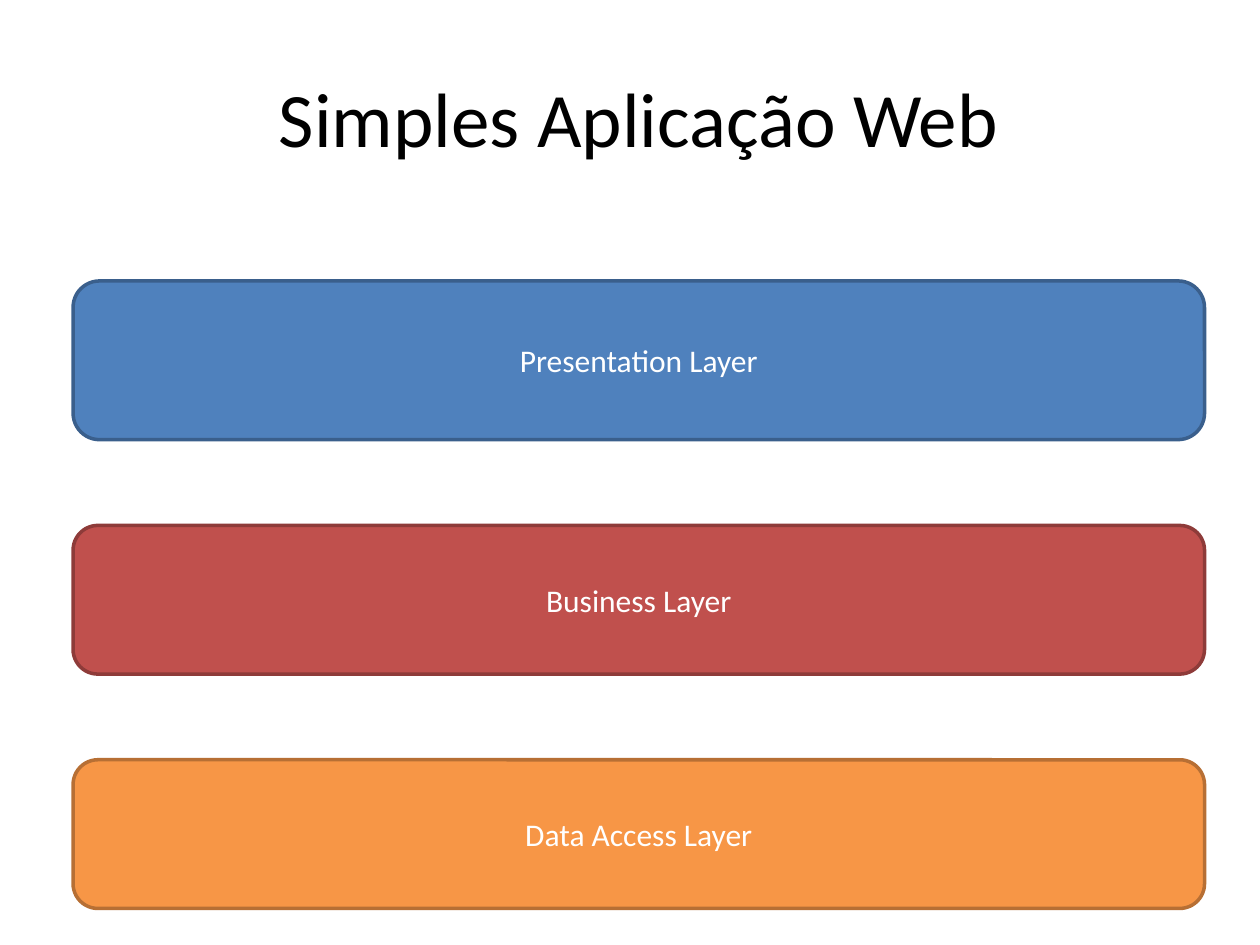
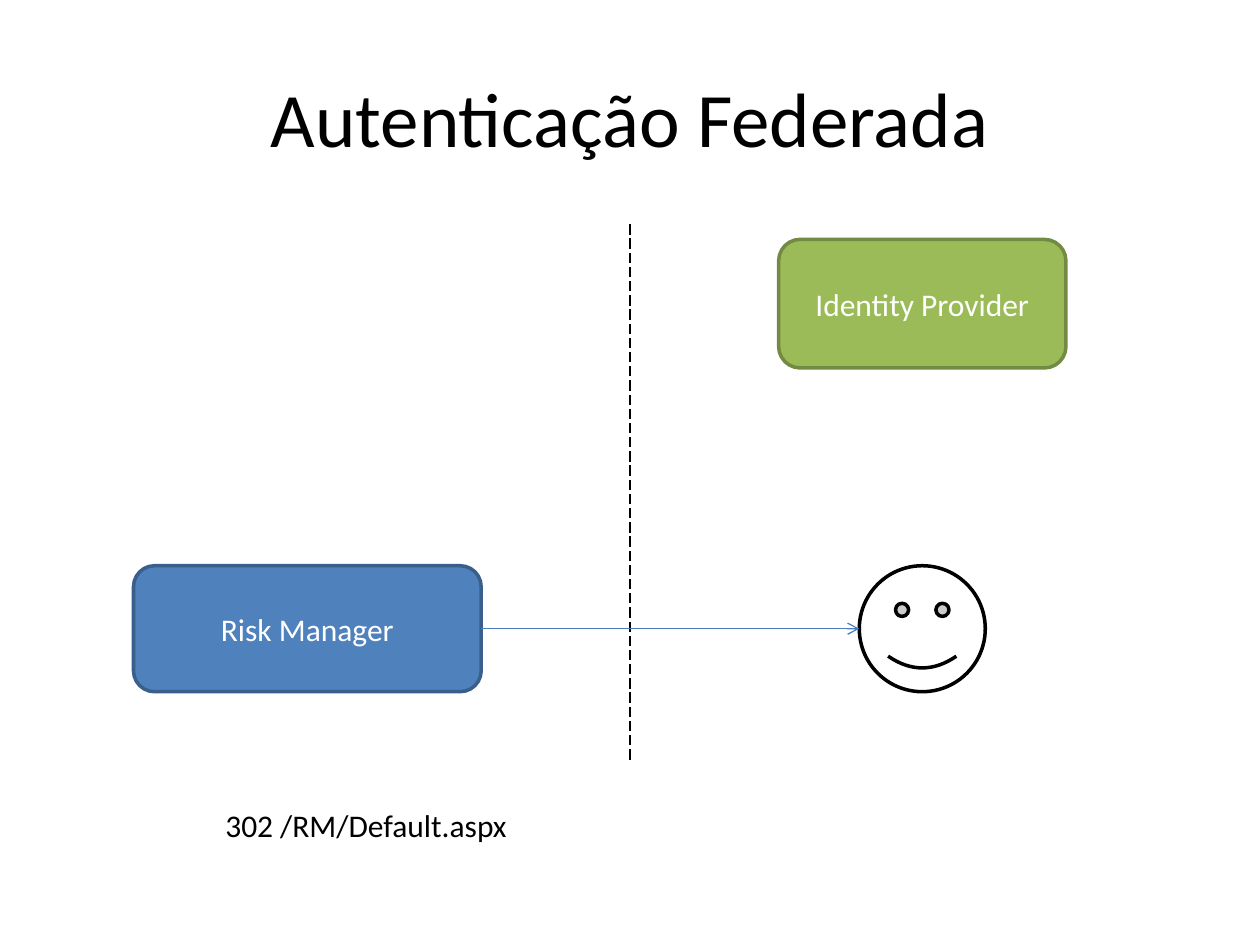
import pptx
import pptx.dml.color
import pptx.enum.dml
import pptx.enum.shapes
import pptx.enum.text
import pptx.oxml.ns
import pptx.util
from lxml import etree

Inches = pptx.util.Inches
Pt = pptx.util.Pt
RGBColor = pptx.dml.color.RGBColor
MSO_SHAPE = pptx.enum.shapes.MSO_SHAPE
PP_ALIGN = pptx.enum.text.PP_ALIGN
MSO_ANCHOR = pptx.enum.text.MSO_ANCHOR
qn = pptx.oxml.ns.qn

BLACK = RGBColor(0x00, 0x00, 0x00)
WHITE = RGBColor(0xFF, 0xFF, 0xFF)
ARROW_BLUE = RGBColor(0x4B, 0x7E, 0xBC)
BLUE = (RGBColor(0x4F, 0x81, 0xBD), RGBColor(0x3A, 0x5F, 0x8C))
RED = (RGBColor(0xC0, 0x50, 0x4D), RGBColor(0x8E, 0x3B, 0x39))
ORANGE = (RGBColor(0xF7, 0x96, 0x46), RGBColor(0xB7, 0x6F, 0x34))
GREEN = (RGBColor(0x9B, 0xBB, 0x59), RGBColor(0x73, 0x8A, 0x42))
OUTLINED = (WHITE, BLACK)

TITLE_FONT = {"name": "Calibri", "size": Pt(44)}
BODY_FONT = {"name": "Calibri", "size": Pt(18)}

LAYERS_TITLE = "Simples Aplicação Web"
LAYERS = [
    ("Presentation Layer", 1.26, BLUE),
    ("Business Layer", 1.18, RED),
    ("Data Access Layer", 1.18, ORANGE),
]
LAYER_LEFT, LAYER_TOP, LAYER_WIDTH, LAYER_GAP = 0.58, 2.23, 8.98, 0.68

FEDERATION_TITLE = "Autenticação Federada"
RISK_MANAGER = ("Risk Manager", (1.06, 4.49, 2.76, 1), BLUE)
IDENTITY_PROVIDER = ("Identity Provider", (6.18, 1.9, 2.28, 1.02), GREEN)
USER_FACE = (6.82, 4.49, 1, 1)
BOUNDARY = ((5, 1.78), (5, 6.03))
REDIRECT = "302 /RM/Default.aspx"
REDIRECT_AREA = (1.69, 6.35, 6.13, 0.4)


def write(frame, text, font, color, align, anchor):
    frame.word_wrap = True
    frame.vertical_anchor = anchor
    paragraph = frame.paragraphs[0]
    paragraph.alignment = align
    run = paragraph.add_run()
    run.text = text
    for attribute, value in font.items():
        setattr(run.font, attribute, value)
    run.font.color.rgb = color


def add_text(slide, text, area, font, align, anchor):
    box = slide.shapes.add_textbox(*map(Inches, area))
    write(box.text_frame, text, font, BLACK, align, anchor)


def add_figure(slide, preset, area, colors):
    figure = slide.shapes.add_shape(preset, *map(Inches, area))
    figure.shadow.inherit = False
    fill, outline = colors
    figure.fill.solid()
    figure.fill.fore_color.rgb = fill
    figure.line.color.rgb = outline
    figure.line.width = Pt(2)
    return figure


def add_block(slide, label, area, colors):
    block = add_figure(slide, MSO_SHAPE.ROUNDED_RECTANGLE, area, colors)
    write(block.text_frame, label, BODY_FONT, WHITE, PP_ALIGN.CENTER, MSO_ANCHOR.MIDDLE)
    return block


def add_line(slide, start, end, color):
    line = slide.shapes.add_connector(
        pptx.enum.shapes.MSO_CONNECTOR.STRAIGHT, *map(Inches, start + end))
    line.line.color.rgb = color
    line.line.width = Pt(0.75)
    etree.SubElement(line._element.spPr, qn("a:effectLst"))
    return line


def add_titled_slide(deck, title, left):
    slide = deck.slides.add_slide(deck.slide_layouts[6])
    add_text(slide, title, (left, 0.3, 9, 1.25), TITLE_FONT,
             PP_ALIGN.CENTER, MSO_ANCHOR.MIDDLE)
    return slide


def build_layers(deck):
    slide = add_titled_slide(deck, LAYERS_TITLE, 0.57)
    top = LAYER_TOP
    for label, height, colors in LAYERS:
        add_block(slide, label, (LAYER_LEFT, top, LAYER_WIDTH, height), colors)
        top += height + LAYER_GAP


def build_federation(deck):
    slide = add_titled_slide(deck, FEDERATION_TITLE, 0.5)
    risk_manager = add_block(slide, *RISK_MANAGER)
    boundary = add_line(slide, *BOUNDARY, BLACK)
    boundary.line.dash_style = pptx.enum.dml.MSO_LINE.LONG_DASH
    add_block(slide, *IDENTITY_PROVIDER)
    add_figure(slide, MSO_SHAPE.SMILEY_FACE, USER_FACE, OUTLINED)

    left, top, width, height = RISK_MANAGER[1]
    middle = top + height / 2
    response = add_line(slide, (left + width, middle), (USER_FACE[0], middle), ARROW_BLUE)
    response.begin_connect(risk_manager, 3)
    etree.SubElement(response.line._get_or_add_ln(), qn("a:tailEnd"), type="arrow")

    add_text(slide, REDIRECT, REDIRECT_AREA, BODY_FONT, PP_ALIGN.LEFT, MSO_ANCHOR.TOP)


def main():
    deck = pptx.Presentation()
    deck.slide_width = Inches(10)
    deck.slide_height = Inches(7.5)
    build_layers(deck)
    build_federation(deck)
    deck.save("out.pptx")


if __name__ == "__main__":
    main()
